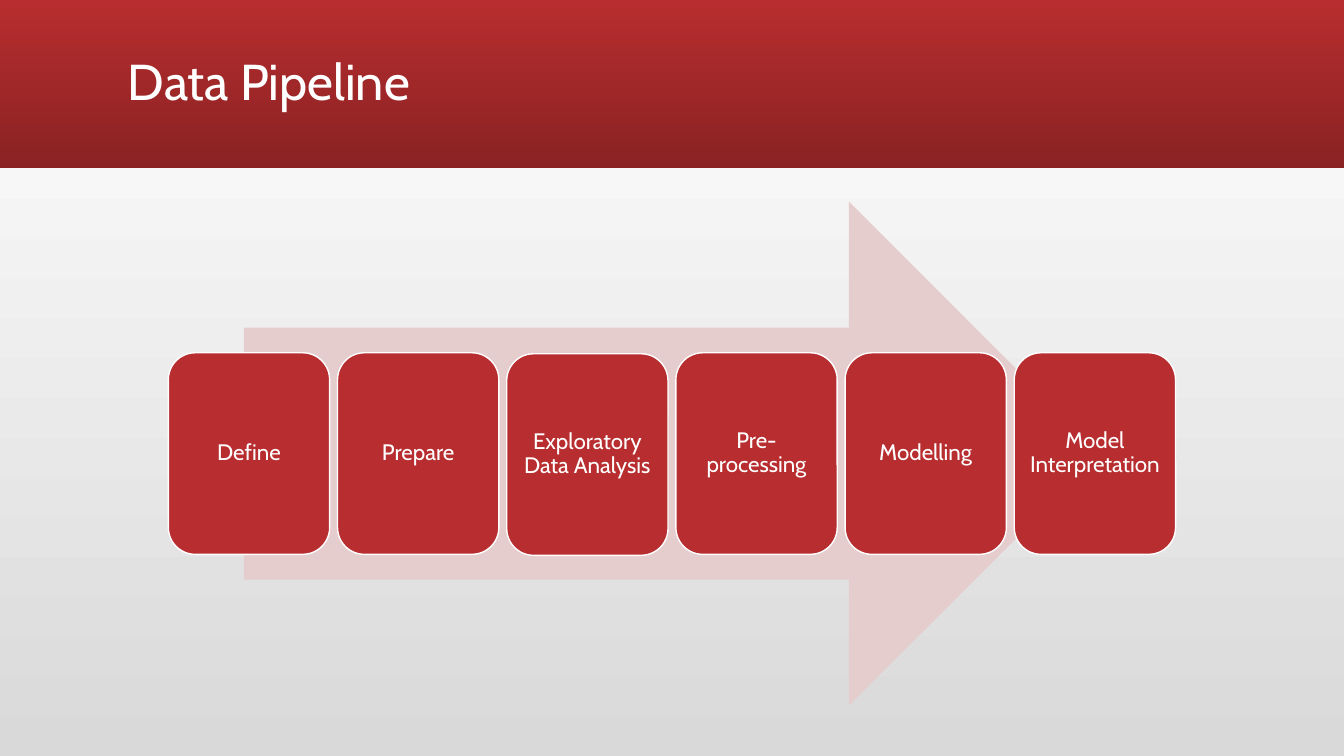
"""Build the Data Pipeline slide: six stages laid over a broad arrow."""
from pptx import Presentation
from pptx.dml.color import RGBColor
from pptx.enum.shapes import MSO_SHAPE
from pptx.enum.text import MSO_ANCHOR, PP_ALIGN
from pptx.util import Inches, Pt

RECTANGLE = MSO_SHAPE.RECTANGLE
ROUNDED = MSO_SHAPE.ROUNDED_RECTANGLE
ARROW = MSO_SHAPE.RIGHT_ARROW
MIDDLE = MSO_ANCHOR.MIDDLE
LEFT, CENTER = PP_ALIGN.LEFT, PP_ALIGN.CENTER

TITLE = "Data Pipeline"
STAGES = [
    ("Define", 3.5),
    ("Prepare", 3.5),
    ("Exploratory Data Analysis", 3.51),
    ("Pre-processing", 3.5),
    ("Modelling", 3.5),
    ("Model Interpretation", 3.5),
]
COLORS = {
    "red": "B82D2F",
    "dark red": "8A2223",
    "pink": "E6CDCD",
    "gray": "D9D9D9",
    "white": "FFFFFF",
}
FONT = "Cabin"
SLIDE_WIDTH, SLIDE_HEIGHT = 13.33, 7.5
STAGE_WIDTH, STAGE_HEIGHT = 1.6, 2
ROW_LEFT, ROW_RIGHT = 1.67, 11.66


def rgb(name):
    """Look up a colour by name."""
    return RGBColor.from_string(COLORS[name])


def fill_gradient(fill, start, end, angle):
    """Fill with a two-stop linear gradient."""
    fill.gradient()
    fill.gradient_angle = angle
    for stop, color in zip(fill.gradient_stops, (start, end)):
        stop.color.rgb = rgb(color)


def add_block(slide, preset, left, top, width, height, color):
    """Add a flat shape without an outline."""
    block = slide.shapes.add_shape(
        preset, Inches(left), Inches(top), Inches(width), Inches(height))
    block.shadow.inherit = False
    block.fill.solid()
    block.fill.fore_color.rgb = rgb(color)
    block.line.fill.background()
    return block


def write(holder, text, size=16, align=CENTER, inset=0.07):
    """Write one vertically centred paragraph."""
    frame = holder.text_frame
    frame.word_wrap = True
    frame.vertical_anchor = MIDDLE
    frame.margin_left = frame.margin_right = Inches(inset)
    frame.margin_top = frame.margin_bottom = Inches(min(inset, 0.07))
    paragraph = frame.paragraphs[0]
    paragraph.alignment = align
    paragraph.line_spacing = 0.9
    run = paragraph.add_run()
    run.text = text
    run.font.name = FONT
    run.font.size = Pt(size)
    run.font.color.rgb = rgb("white")


def main():
    """Lay out the slide and save it."""
    deck = Presentation()
    deck.slide_width, deck.slide_height = Inches(SLIDE_WIDTH), Inches(SLIDE_HEIGHT)
    slide = deck.slides.add_slide(deck.slide_layouts[6])
    fill_gradient(slide.background.fill, "gray", "white", 90)

    banner = add_block(slide, RECTANGLE, 0, 0, SLIDE_WIDTH, 1.67, "red")
    fill_gradient(banner.fill, "red", "dark red", 270)
    title = slide.shapes.add_textbox(
        Inches(1.17), Inches(0.11), Inches(11), Inches(1.45))
    write(title, TITLE, size=36, align=LEFT, inset=0.1)

    add_block(slide, ARROW, 2.42, 2, 8.5, 5, "pink")
    step = (ROW_RIGHT - ROW_LEFT - STAGE_WIDTH) / (len(STAGES) - 1)
    for index, (label, top) in enumerate(STAGES):
        stage = add_block(slide, ROUNDED, ROW_LEFT + index * step, top,
                          STAGE_WIDTH, STAGE_HEIGHT, "red")
        stage.line.color.rgb = rgb("white")
        stage.line.width = Pt(1)
        write(stage, label)

    deck.save("out.pptx")


if __name__ == "__main__":
    main()
